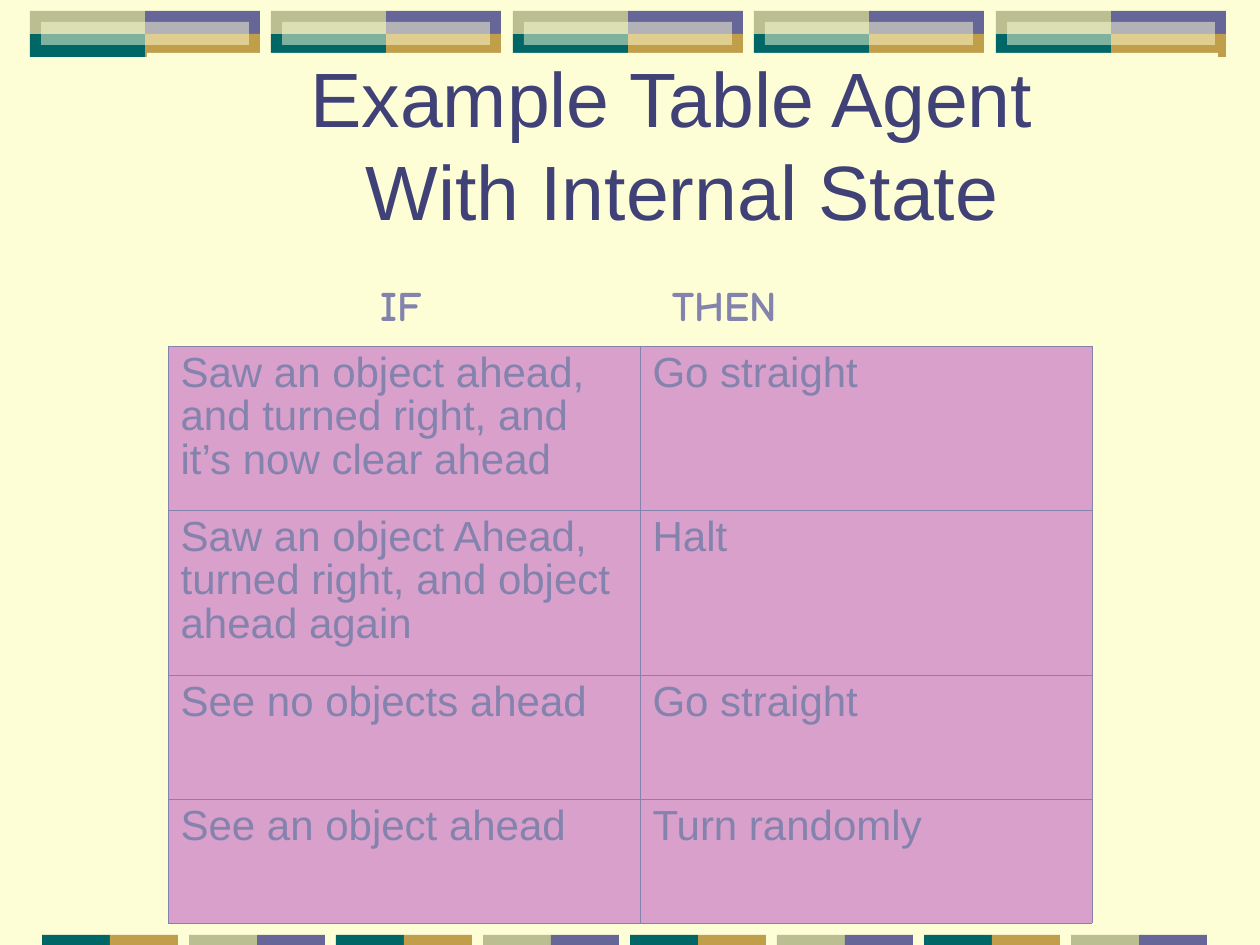
from dataclasses import dataclass

from lxml.etree import SubElement
from pptx import Presentation
from pptx.dml.color import RGBColor
from pptx.enum.shapes import MSO_SHAPE
from pptx.enum.text import MSO_ANCHOR, PP_ALIGN
from pptx.oxml import parse_xml
from pptx.oxml.ns import nsdecls, qn
from pptx.util import Pt

EMU_PER_PX = 914400 / 126


@dataclass(frozen=True)
class Theme:
    paper: str = "FEFED6"
    violet: str = "666699"
    gold: str = "C09E4A"
    teal: str = "006666"
    olive: str = "BABE90"
    heading: str = "404176"
    ink: str = "8383AD"
    cell: str = "D8A0CB"
    body_font: str = "Arial"
    label_font: str = "Comic Neue"
    title_size: int = 44
    text_size: int = 24
    outer_line: float = 0.5
    inner_line: float = 0.23


def px(length):
    return round(length * EMU_PER_PX)


def write(frame, text, *, font, size, color, bold=False, align=None, spacing=None):
    paragraph = frame.paragraphs[0]
    paragraph.text = text
    paragraph.alignment = align
    paragraph.line_spacing = spacing
    for run in paragraph.runs:
        run.font.name = font
        run.font.size = Pt(size)
        run.font.bold = bold
        run.font.color.rgb = RGBColor.from_string(color)


class SlideBuilder:
    """Draws themed elements on one slide, measured in px."""

    def __init__(self, slide, theme):
        self.slide = slide
        self.theme = theme

    def background(self):
        fill = self.slide.background.fill
        fill.solid()
        fill.fore_color.rgb = RGBColor.from_string(self.theme.paper)

    def block(self, left, top, width, height, color, opacity=100):
        block = self.slide.shapes.add_shape(
            MSO_SHAPE.RECTANGLE, px(left), px(top), px(width), px(height))
        block.shadow.inherit = False
        block.line.fill.background()
        block.fill.solid()
        block.fill.fore_color.rgb = RGBColor.from_string(color)
        if opacity < 100:
            tint = block.fill._xPr.find(qn("a:solidFill"))[0]
            SubElement(tint, qn("a:alpha")).set("val", str(opacity * 1000))

    def title(self, left, top, width, height, text):
        theme = self.theme
        heading = self.slide.shapes.add_textbox(px(left), px(top), px(width), px(height))
        heading.fill.solid()
        heading.fill.fore_color.rgb = RGBColor.from_string(theme.paper)
        heading.text_frame.word_wrap = True
        heading.text_frame.vertical_anchor = MSO_ANCHOR.BOTTOM
        write(heading.text_frame, text, font=theme.body_font, size=theme.title_size,
              color=theme.heading, align=PP_ALIGN.CENTER)

    def label(self, left, top, width, height, text):
        theme = self.theme
        label = self.slide.shapes.add_textbox(px(left), px(top), px(width), px(height))
        label.text_frame.word_wrap = False
        write(label.text_frame, text, font=theme.label_font, size=theme.text_size,
              color=theme.ink, bold=True)

    def border(self, cell, outer_sides):
        properties = cell._tc.get_or_add_tcPr()
        for position, side in enumerate("LRTB"):
            weight = self.theme.outer_line if side in outer_sides else self.theme.inner_line
            properties.insert(position, parse_xml(
                f'<a:ln{side} {nsdecls("a")} w="{Pt(weight)}"><a:solidFill>'
                f'<a:srgbClr val="{self.theme.ink}"/></a:solidFill></a:ln{side}>'))

    def rules_table(self, left, top, widths, heights, rules):
        theme = self.theme
        table = self.slide.shapes.add_table(
            len(heights), len(widths), px(left), px(top),
            px(sum(widths)), px(sum(heights))).table
        table.first_row = table.horz_banding = False
        for column, width in zip(table.columns, widths):
            column.width = px(width)
        for row, height in zip(table.rows, heights):
            row.height = px(height)
        for r, rule in enumerate(rules):
            for c, text in enumerate(rule):
                cell = table.cell(r, c)
                cell.fill.solid()
                cell.fill.fore_color.rgb = RGBColor.from_string(theme.cell)
                write(cell.text_frame, text, font=theme.body_font,
                      size=theme.text_size, color=theme.ink, spacing=0.93)
                outer = "L" if c == 0 else "R"
                outer += "T" if r == 0 else "B" if r == len(rules) - 1 else ""
                self.border(cell, outer)


def main():
    theme = Theme()
    deck = Presentation()
    deck.slide_width, deck.slide_height = px(1260), px(945)
    page = SlideBuilder(deck.slides.add_slide(deck.slide_layouts[6]), theme)
    page.background()

    for tile in range(5):
        left = 30 + tile * 483 // 2
        page.block(left + 115, 11, 115, 23, theme.violet)
        page.block(left + 115, 34, 115, 23, theme.gold)
        page.block(left, 34, 115, 23, theme.teal)
        page.block(left, 11, 115, 23, theme.olive)
        page.block(left + 11, 22, 208, 23, theme.paper, opacity=50)

    pairs = [(theme.teal, theme.gold), (theme.olive, theme.violet)]
    for strip in range(8):
        for half, color in enumerate(pairs[strip % 2]):
            page.block(42 + strip * 147 + half * 68, 935, 68, 10, color)

    page.title(147, 53, 1071, 189, "Example Table Agent \nWith Internal State")
    page.rules_table(168, 346, [472, 452], [164, 165, 124, 124], [
        ("Saw an object ahead, and turned right, and it’s now clear ahead", "Go straight"),
        ("Saw an object Ahead, turned right, and object ahead again", "Halt"),
        ("See no objects ahead", "Go straight"),
        ("See an object ahead", "Turn randomly"),
    ])
    page.label(368, 273, 76, 63, "IF")
    page.label(660, 273, 130, 63, "THEN")

    deck.save("out.pptx")


if __name__ == "__main__":
    main()
